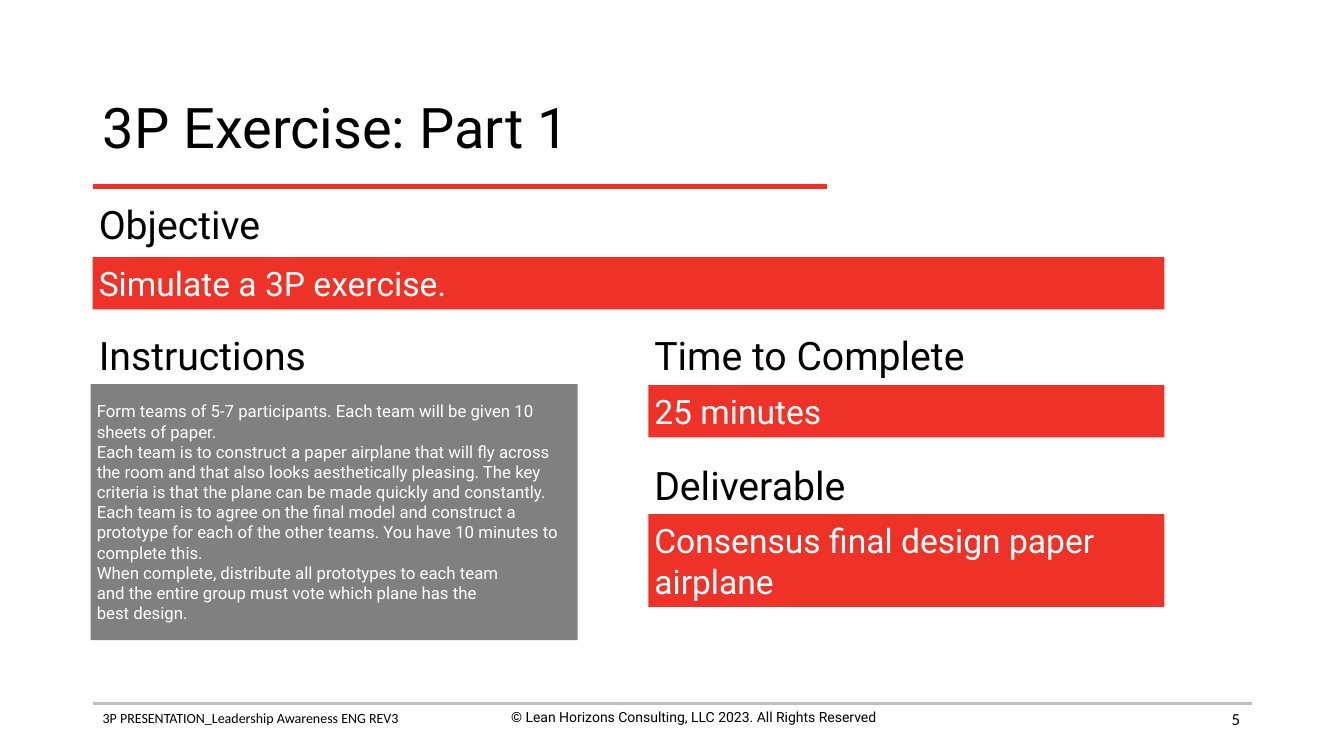
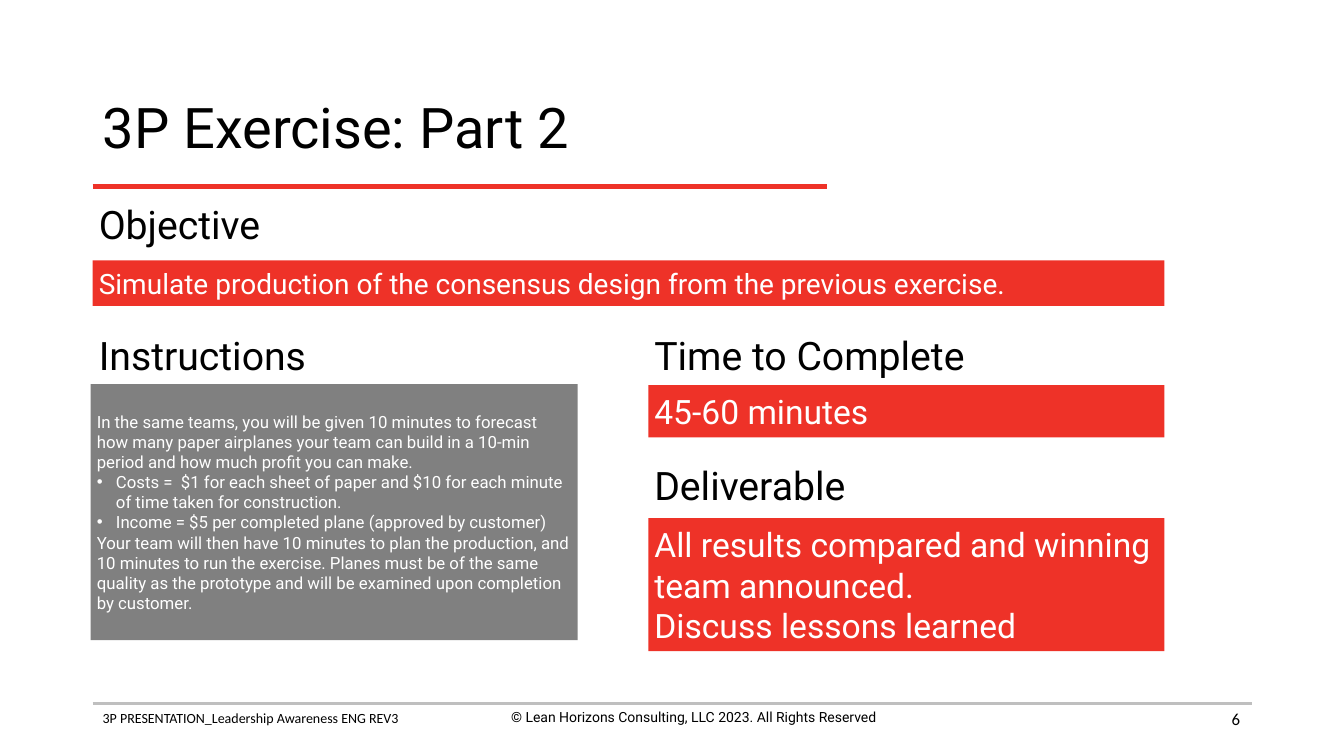
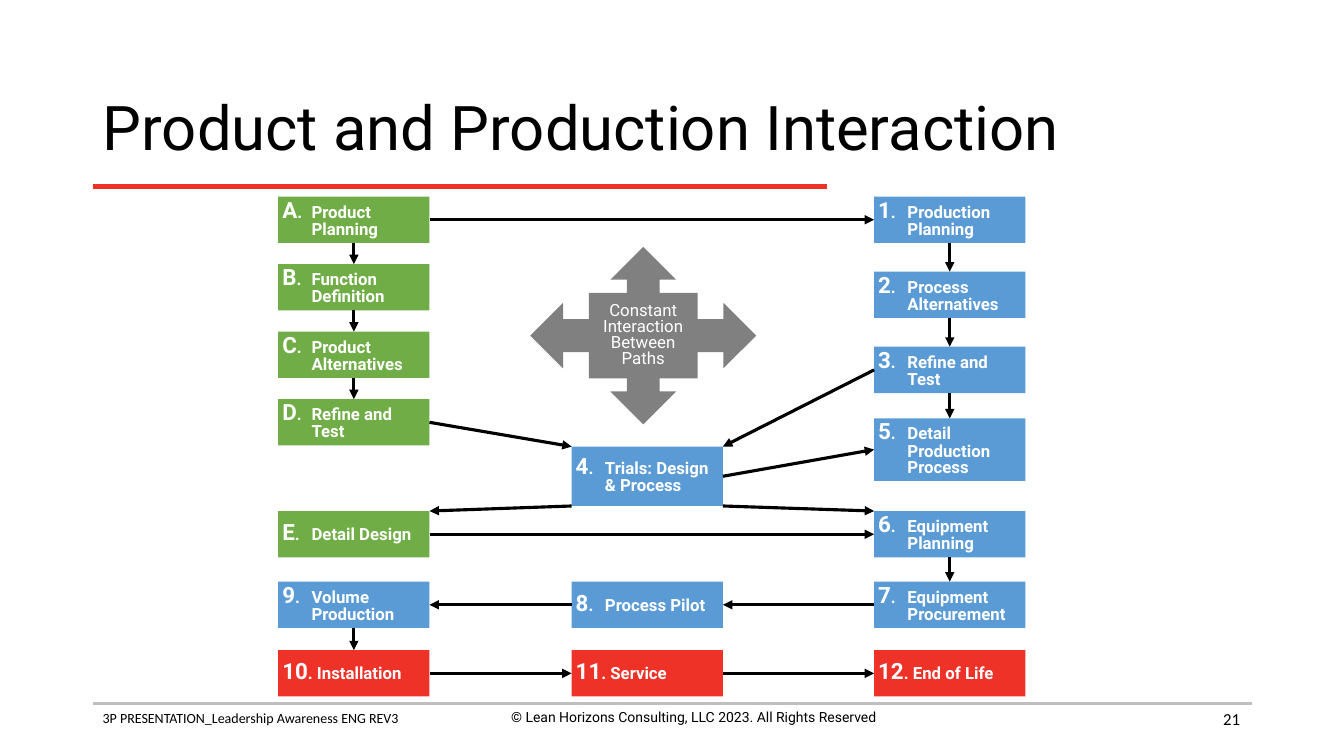
from copy import deepcopy
from dataclasses import dataclass
from enum import IntEnum
from typing import Any, NamedTuple

from lxml.etree import SubElement
from pptx import Presentation
from pptx.dml.color import RGBColor
from pptx.enum.shapes import MSO_CONNECTOR, MSO_SHAPE
from pptx.enum.text import MSO_ANCHOR, MSO_AUTO_SIZE, PP_ALIGN
from pptx.oxml.ns import qn
from pptx.util import Inches, Pt

COLORS = {
    "black": "000000",
    "white": "FFFFFF",
    "red": "EE3228",
    "grey": "808080",
    "rule": "BFBFBF",
    "green": "70AD47",
    "blue": "5B9BD5",
}
MARGIN = 0.92
CONTENT_WIDTH = 11.5
FOOTER_TOP = 6.98
SIDE_COLUMN = 6.43
SIDE_WIDTH = 5.12
HEADING_HEIGHT = 0.58
BAR_INSET = 0.06

FLOW_COLUMNS = (2.76, 5.67, 8.67)
FLOW_WIDTH, FLOW_HEIGHT = 1.5, 0.46
FLOW_TOP, LEFT_PITCH, RIGHT_PITCH = 1.95, 0.67, 0.745
DESIGN_ROW, PILOT_ROW, LIFE_ROW = 5.07, 5.77, 6.45
FLOW_INSET = 0.04
FLOW_INDENT = 0.29
FLOW_SPACING = 0.8


class Area(NamedTuple):
    left: float
    top: float
    width: float
    height: float


class Point(NamedTuple):
    x: float
    y: float


class Span(NamedTuple):
    text: str
    size: float
    color: str = "white"
    font: str = "Roboto"
    bold: bool = False


@dataclass(frozen=True)
class Para:
    spans: tuple[Span, ...]
    align: PP_ALIGN = PP_ALIGN.LEFT
    line_spacing: float = 1.0
    hanging: float = 0
    bullet: str = ""


@dataclass(frozen=True)
class Instruction:
    text: str
    bullet: str = ""


@dataclass(frozen=True)
class Exercise:
    title: str
    page: str
    objective: str
    objective_size: int
    instructions: tuple[Instruction, ...]
    time: str
    deliverables: tuple[str, ...]
    deliverable_top: float
    deliverable_lines: int


@dataclass(frozen=True)
class Step:
    key: str
    label: str
    color: str
    column: int
    top: float
    height: float = FLOW_HEIGHT


class Site(IntEnum):
    """Places on a box; the first four are connection sites."""
    TOP = 0
    LEFT = 1
    BOTTOM = 2
    RIGHT = 3
    TOP_LEFT = 4
    TOP_RIGHT = 5
    BOTTOM_LEFT = 6
    BOTTOM_RIGHT = 7


SITE_SHARES = {
    Site.TOP: (0.5, 0), Site.LEFT: (0, 0.5),
    Site.BOTTOM: (0.5, 1), Site.RIGHT: (1, 0.5),
    Site.TOP_LEFT: (0, 0), Site.TOP_RIGHT: (1, 0),
    Site.BOTTOM_LEFT: (0, 1), Site.BOTTOM_RIGHT: (1, 1),
}


class Link(NamedTuple):
    source: str
    source_site: Site
    target: str
    target_site: Site


EXERCISES = (
    Exercise(
        "3P Exercise: Part 1", "5", "Simulate a 3P exercise.", 24,
        (
            Instruction("Form teams of 5-7 participants. Each team will be given 10 sheets of paper."),
            Instruction("Each team is to construct a paper airplane that will fly across the room and "
                        "that also looks aesthetically pleasing. The key criteria is that the plane "
                        "can be made quickly and constantly."),
            Instruction("Each team is to agree on the final model and construct a prototype for each "
                        "of the other teams. You have 10 minutes to complete this."),
            Instruction("When complete, distribute all prototypes to each team \v"
                        "and the entire group must vote which plane has the \vbest design."),
        ),
        "25 minutes", ("Consensus final design paper airplane",), 5.1, 2,
    ),
    Exercise(
        "3P Exercise: Part 2", "6",
        "Simulate production of the consensus design from the previous exercise.", 20,
        (
            Instruction("In the same teams, you will be given 10 minutes to forecast how many paper "
                        "airplanes your team can build in a 10-min period and how much profit you "
                        "can make."),
            Instruction("Costs =  $1 for each sheet of paper and $10 for each minute of time taken "
                        "for construction.", "•"),
            Instruction("Income = $5 per completed plane (approved by customer)", "•"),
            Instruction("Your team will then have 10 minutes to plan the production, and 10 minutes "
                        "to run the exercise. Planes must be of the same quality as the prototype "
                        "and will be examined upon completion by customer."),
        ),
        "45-60 minutes",
        ("All results compared and winning team announced.", "Discuss lessons learned"), 5.14, 3,
    ),
)

STEPS = (
    *(Step(key, label, "green", 0, FLOW_TOP + row * LEFT_PITCH)
      for row, (key, label) in enumerate((
          ("A", "Product Planning"), ("B", "Function Definition"),
          ("C", "Product Alternatives"), ("D", "Refine and Test")))),
    *(Step(key, label, "blue", 2, FLOW_TOP + row * RIGHT_PITCH)
      for row, (key, label) in enumerate((
          ("1", "Production Planning"), ("2", "Process Alternatives"),
          ("3", "Refine and Test")))),
    Step("4", "Trials: Design & Process", "blue", 1, 4.43, 0.59),
    Step("5", "Detail Production Process", "blue", 2, 4.15, 0.62),
    Step("E", "Detail Design", "green", 0, DESIGN_ROW),
    Step("6", "Equipment Planning", "blue", 2, DESIGN_ROW),
    *(Step(key, label, "blue", column, PILOT_ROW)
      for column, (key, label) in enumerate((
          ("9", "Volume Production"), ("8", "Process Pilot"), ("7", "Equipment Procurement")))),
    *(Step(key, label, "red", column, LIFE_ROW)
      for column, (key, label) in enumerate((
          ("10", "Installation"), ("11", "Service"), ("12", "End of Life")))),
)

LINKS = (
    *(Link(source, Site.BOTTOM, target, Site.TOP)
      for source, target in ("AB", "BC", "CD", "12", "23", "35", "67", ("9", "10"))),
    *(Link(source, Site.RIGHT, target, Site.LEFT)
      for source, target in ("A1", "45", "E6", ("10", "11"), ("11", "12"))),
    *(Link(source, Site.LEFT, target, Site.RIGHT) for source, target in ("78", "89")),
    Link("D", Site.RIGHT, "4", Site.TOP_LEFT),
    Link("3", Site.LEFT, "4", Site.TOP_RIGHT),
    Link("4", Site.BOTTOM_LEFT, "E", Site.TOP_RIGHT),
    Link("4", Site.BOTTOM_RIGHT, "6", Site.TOP_LEFT),
)


def rgb(name: str) -> RGBColor:
    return RGBColor.from_string(COLORS[name])


def set_format(target: Any, values: dict[str, Any]) -> None:
    for name, value in values.items():
        setattr(target, name, value)


def place(shape: Any, area: Area) -> None:
    set_format(shape, {name: Inches(value) for name, value in area._asdict().items()})


def write(shape: Any, paras: list[Para], inset: float | None = None, anchor: MSO_ANCHOR = MSO_ANCHOR.MIDDLE,
          wrap: bool = True, grow: bool = False) -> None:
    """Fill the text frame of a shape with formatted paragraphs."""
    frame = shape.text_frame
    set_format(frame, {
        "word_wrap": wrap,
        "vertical_anchor": anchor,
        "auto_size": MSO_AUTO_SIZE.SHAPE_TO_FIT_TEXT if grow else MSO_AUTO_SIZE.NONE,
    })
    if inset is not None:
        sides = ("left", "top", "right", "bottom")
        set_format(frame, {f"margin_{side}": Inches(inset) for side in sides})
    for index, para in enumerate(paras):
        paragraph = frame.paragraphs[0] if index == 0 else frame.add_paragraph()
        write_paragraph(paragraph, para)


def write_paragraph(paragraph: Any, para: Para) -> None:
    properties = paragraph._p.get_or_add_pPr()
    properties.set("marL", str(Inches(para.hanging)))
    properties.set("indent", str(-Inches(para.hanging)))
    if para.bullet:
        SubElement(properties, qn("a:buChar")).set("char", para.bullet)
    else:
        SubElement(properties, qn("a:buNone"))
    set_format(paragraph, {
        "alignment": para.align,
        "line_spacing": para.line_spacing,
        "space_before": Pt(0),
        "space_after": Pt(0),
    })
    for span in para.spans:
        for index, line in enumerate(span.text.split("\v")):
            if index:
                paragraph.add_line_break()
            run = paragraph.add_run()
            run.text = line
            set_format(run.font, {"name": span.font, "size": Pt(span.size), "bold": span.bold})
            run.font.color.rgb = rgb(span.color)
    for line_break in paragraph._p.findall(qn("a:br")):
        line_break.insert(0, deepcopy(paragraph.runs[0]._r.rPr))


def add_text(page: Any, area: Area, para: Para, **frame_values: Any) -> None:
    box = page.shapes.add_textbox(*map(Inches, area))
    write(box, [para], **frame_values)


def add_filled(page: Any, area: Area, color: str, preset: MSO_SHAPE = MSO_SHAPE.RECTANGLE) -> Any:
    shape = page.shapes.add_shape(preset, *map(Inches, area))
    shape.shadow.inherit = False
    shape.fill.solid()
    shape.fill.fore_color.rgb = rgb(color)
    shape.line.fill.background()
    return shape


def add_line(page: Any, start: Point, end: Point, color: str, width: float, arrow: bool = False) -> Any:
    line = page.shapes.add_connector(MSO_CONNECTOR.STRAIGHT, *map(Inches, (*start, *end)))
    line.line.color.rgb = rgb(color)
    line.line.width = Pt(width)
    if arrow:
        SubElement(line.line._get_or_add_ln(), qn("a:tailEnd")).set("type", "triangle")
    SubElement(line._element.spPr, qn("a:effectLst"))
    return line


def add_page(deck: Any, layout: int, title: str, title_size: int, number: str) -> Any:
    """Add a slide with the shared title, rules and footer."""
    page = deck.slides.add_slide(deck.slide_layouts[layout])
    place(page.shapes.title, Area(MARGIN, 0.74, CONTENT_WIDTH, 1.1))
    write(page.shapes.title, [Para((Span(title, title_size, "black"),), line_spacing=0.9)])
    add_line(page, Point(MARGIN, FOOTER_TOP), Point(MARGIN + CONTENT_WIDTH, FOOTER_TOP), "rule", 2)
    add_line(page, Point(MARGIN, 1.85), Point(8.2, 1.85), "red", 3)
    add_text(page, Area(MARGIN, 6.99, 4.56, 0.44),
             Para((Span("3P PRESENTATION_Leadership Awareness ENG REV3", 10, "black", "Calibri"),)),
             anchor=MSO_ANCHOR.TOP)
    add_text(page, Area(4.6, FOOTER_TOP, 4.56, 0.44),
             Para((Span("© Lean Horizons Consulting, LLC 2023. All Rights Reserved", 10, "black"),),
                  PP_ALIGN.CENTER),
             anchor=MSO_ANCHOR.TOP)
    add_text(page, Area(9.4, 6.93, 3, 0.4),
             Para((Span(number, 12, "black", "Calibri"),), PP_ALIGN.RIGHT))
    return page


def add_heading(page: Any, text: str, left: float, top: float, width: float) -> None:
    add_text(page, Area(left, top, width, HEADING_HEIGHT), Para((Span(text, 28, "black"),)),
             inset=BAR_INSET, anchor=MSO_ANCHOR.TOP, wrap=False, grow=True)


def bar_height(size: int, lines: int = 1) -> float:
    return 2 * BAR_INSET + lines * size / 60


def add_bar(page: Any, area: Area, texts: tuple[str, ...], size: int = 24) -> None:
    bar = add_filled(page, area, "red")
    write(bar, [Para((Span(text, size),)) for text in texts], BAR_INSET, grow=True)


def add_exercise(deck: Any, exercise: Exercise) -> None:
    page = add_page(deck, 1, exercise.title, 40, exercise.page)
    for text, left, top, width in (
        ("Objective", MARGIN, 1.93, 1.75),
        ("Instructions", MARGIN, 3.23, 2.21),
        ("Time to Complete", SIDE_COLUMN, 3.23, 3.25),
        ("Deliverable", SIDE_COLUMN, 4.52, 2.07),
    ):
        add_heading(page, text, left, top, width)

    objective_height = bar_height(exercise.objective_size)
    add_bar(page, Area(MARGIN, 2.81 - objective_height / 2, 10.63, objective_height),
            (exercise.objective,), exercise.objective_size)
    add_bar(page, Area(SIDE_COLUMN, 3.82, SIDE_WIDTH, bar_height(24)), (exercise.time,))
    add_bar(page, Area(SIDE_COLUMN, exercise.deliverable_top, SIDE_WIDTH,
                       bar_height(24, exercise.deliverable_lines)), exercise.deliverables)

    body = page.placeholders[1]
    place(body, Area(0.9, 3.81, 4.83, 2.54))
    body.fill.solid()
    body.fill.fore_color.rgb = rgb("grey")
    write(body, [Para((Span(item.text, 12),), hanging=0.19 if item.bullet else 0, bullet=item.bullet)
                 for item in exercise.instructions], BAR_INSET)


def add_step(page: Any, step: Step) -> Any:
    box = add_filled(page, Area(FLOW_COLUMNS[step.column], step.top, FLOW_WIDTH, step.height), step.color)
    separator = ". \t" if len(step.key) == 1 else ". "
    spans = (Span(step.key, 16, bold=True), Span(separator + step.label, 12, bold=True))
    write(box, [Para(spans, line_spacing=FLOW_SPACING, hanging=FLOW_INDENT)], FLOW_INSET)
    return box


def site_point(box: Any, site: Site) -> Point:
    across, down = SITE_SHARES[site]
    return Point((box.left + across * box.width) / Inches(1), (box.top + down * box.height) / Inches(1))


def add_link(page: Any, boxes: dict[str, Any], link: Link) -> None:
    source, target = boxes[link.source], boxes[link.target]
    arrow = add_line(page, site_point(source, link.source_site), site_point(target, link.target_site),
                     "black", 2.25, arrow=True)
    if link.source_site <= Site.RIGHT:
        arrow.begin_connect(source, int(link.source_site))
    if link.target_site <= Site.RIGHT:
        arrow.end_connect(target, int(link.target_site))


def add_interaction(deck: Any) -> None:
    page = add_page(deck, 5, "Product and Production Interaction", 44, "21")
    boxes = {step.key: add_step(page, step) for step in STEPS}
    for link in LINKS:
        add_link(page, boxes, link)
    callout = add_filled(page, Area(5.26, 2.45, 2.24, 1.76), "grey", MSO_SHAPE.QUAD_ARROW_CALLOUT)
    write(callout, [Para((Span("Constant Interaction Between Paths", 12),), PP_ALIGN.CENTER, FLOW_SPACING)],
          FLOW_INSET)


def main() -> None:
    deck = Presentation()
    set_format(deck, {"slide_width": Inches(13.33), "slide_height": Inches(7.5)})
    for exercise in EXERCISES:
        add_exercise(deck, exercise)
    add_interaction(deck)
    deck.save("out.pptx")


if __name__ == "__main__":
    main()
